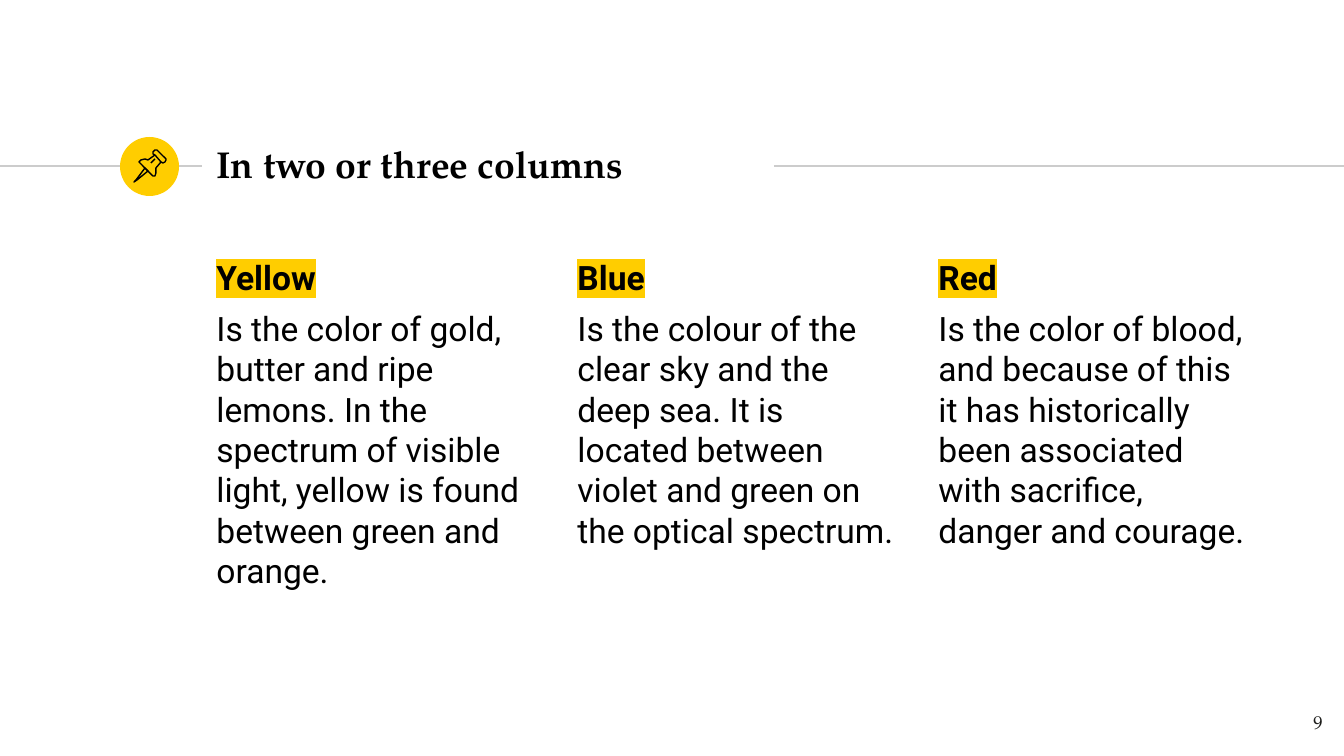
"""Build a slide with a pinned title and three text columns."""
from dataclasses import dataclass

from lxml import etree
from pptx import Presentation
from pptx import util as u
from pptx.dml.color import RGBColor
from pptx.enum import shapes, text
from pptx.oxml.ns import qn

PX = 914400 / 134.4


@dataclass(frozen=True)
class Theme:
    """Colours, fonts and type sizes."""
    accent: str = "FFCD00"
    ink: str = "000000"
    rule: str = "CCCCCC"
    number: str = "1D1D1B"
    serif: str = "TeX Gyre Pagella"
    sans: str = "Roboto"
    title_size: int = 20
    body_size: int = 18
    number_size: int = 10
    stroke: float = 0.75


class SlideBuilder:
    """Draws styled elements on one slide."""

    def __init__(self, slide, theme):
        """Keep the slide and its theme."""
        self.slide = slide
        self.theme = theme

    def emu(self, *lengths):
        """Turn pixels into EMU."""
        return [u.Emu(round(length * PX)) for length in lengths]

    def stroke(self, line, colour):
        """Style a line."""
        line.color.rgb = RGBColor.from_string(colour)
        line.width = u.Pt(self.theme.stroke)

    def rule(self, start, end, y):
        """Draw a horizontal rule."""
        line = self.slide.shapes.add_connector(
            shapes.MSO_CONNECTOR.STRAIGHT, *self.emu(start, y, end, y))
        self.stroke(line.line, self.theme.rule)
        etree.SubElement(line._element.spPr, qn("a:effectLst"))

    def disc(self, left, top, size):
        """Draw a filled circle."""
        disc = self.slide.shapes.add_shape(
            shapes.MSO_SHAPE.OVAL, *self.emu(left, top, size, size))
        disc.shadow.inherit = False
        disc.fill.solid()
        disc.fill.fore_color.rgb = RGBColor.from_string(self.theme.accent)
        disc.line.fill.background()

    def icon(self, outlines):
        """Draw a group of unfilled outlines."""
        group = self.slide.shapes.add_group_shape()
        for closed, points in outlines:
            pen = group.shapes.build_freeform(*points[0], scale=PX)
            pen.add_line_segments(points[1:], close=closed)
            outline = pen.convert_to_shape()
            outline.shadow.inherit = False
            outline.fill.background()
            self.stroke(outline.line, self.theme.ink)

    def frame(self, box, area, anchor):
        """Place a text box and return its prepared frame."""
        box.left, box.top, box.width, box.height = self.emu(*area)
        frame = box.text_frame
        frame.word_wrap = True
        frame.auto_size = text.MSO_AUTO_SIZE.NONE
        frame.vertical_anchor = anchor
        frame.margin_left = frame.margin_right = u.Inches(0.1)
        frame.margin_top = frame.margin_bottom = u.Inches(0.1)
        return frame

    def fill_paragraph(self, para, words, font, size, colour, bold=False,
                       align=text.PP_ALIGN.LEFT, before=0):
        """Fill a paragraph and return its run."""
        span = para.add_run()
        span.text = words
        props = para._p.get_or_add_pPr()
        props.set("marL", "0")
        props.set("indent", "0")
        para.space_before = u.Pt(before)
        etree.SubElement(props, qn("a:buNone"))
        para.alignment = align
        para.font.name = font
        para.font.size = u.Pt(size)
        para.font.bold = bold
        para.font.color.rgb = RGBColor.from_string(colour)
        return span

    def title(self, words, area):
        """Fill the title placeholder."""
        frame = self.frame(self.slide.shapes.title, area, text.MSO_ANCHOR.MIDDLE)
        self.fill_paragraph(frame.paragraphs[0], words, self.theme.serif,
                            self.theme.title_size, self.theme.ink, bold=True)

    def column(self, box, heading, body, area):
        """Fill a body placeholder with a highlighted heading and text."""
        style = self.theme.sans, self.theme.body_size, self.theme.ink
        frame = self.frame(box, area, text.MSO_ANCHOR.TOP)
        span = self.fill_paragraph(frame.paragraphs[0], heading, *style, bold=True)
        highlight = etree.SubElement(span._r.get_or_add_rPr(), qn("a:highlight"))
        etree.SubElement(highlight, qn("a:srgbClr"), val=self.theme.accent)
        self.fill_paragraph(frame.add_paragraph(), body, *style, before=6)

    def page_number(self, number, area):
        """Add the page number."""
        box = self.slide.shapes.add_textbox(*self.emu(*area))
        frame = self.frame(box, area, text.MSO_ANCHOR.TOP)
        self.fill_paragraph(frame.paragraphs[0], number, self.theme.serif,
                            self.theme.number_size, self.theme.number,
                            align=text.PP_ALIGN.RIGHT)


COLUMNS = [
    ("Yellow", "Is the color of gold, butter and ripe lemons. In the spectrum of "
               "visible light, yellow is found between green and orange."),
    ("Blue", "Is the colour of the clear sky and the deep sea. It is located "
             "between violet and green on the optical spectrum."),
    ("Red", "Is the color of blood, and because of this it has historically "
            "been associated with sacrifice, danger and courage."),
]
PIN = [
    (True, [(145, 168), (136, 180), (134, 182), (137, 180), (148, 171)]),
    (True, [(155, 155), (161, 162), (163, 163), (165, 162), (166, 160),
            (166, 159), (157, 150), (155, 150), (153, 152), (153, 154)]),
    (False, [(155, 155), (148, 160), (145, 159), (141, 160), (139, 162),
             (153, 176), (155, 176), (156, 173), (156, 168), (161, 162)]),
    (False, [(151, 163), (155, 159)]),
]


def main():
    """Build and save the deck."""
    deck = Presentation()
    deck.slide_width, deck.slide_height = u.Inches(10), u.Inches(5.625)
    slide = deck.slides.add_slide(deck.slide_layouts.get_by_name("Comparison"))
    page = SlideBuilder(slide, Theme())
    _, *bodies, spare = slide.placeholders
    spare._element.getparent().remove(spare._element)

    page.rule(0, 202, 166)
    page.disc(120, 137, 59)
    page.rule(774, 1344, 166)
    page.title("In two or three columns", (203, 132, 570, 64))
    for index, (box, column) in enumerate(zip(bodies, COLUMNS)):
        page.column(box, *column, (203 + 361 * index, 243, 343, 458))
    page.icon(PIN)
    page.page_number("9", (1255, 697, 81, 58))
    deck.save("out.pptx")


if __name__ == "__main__":
    main()
